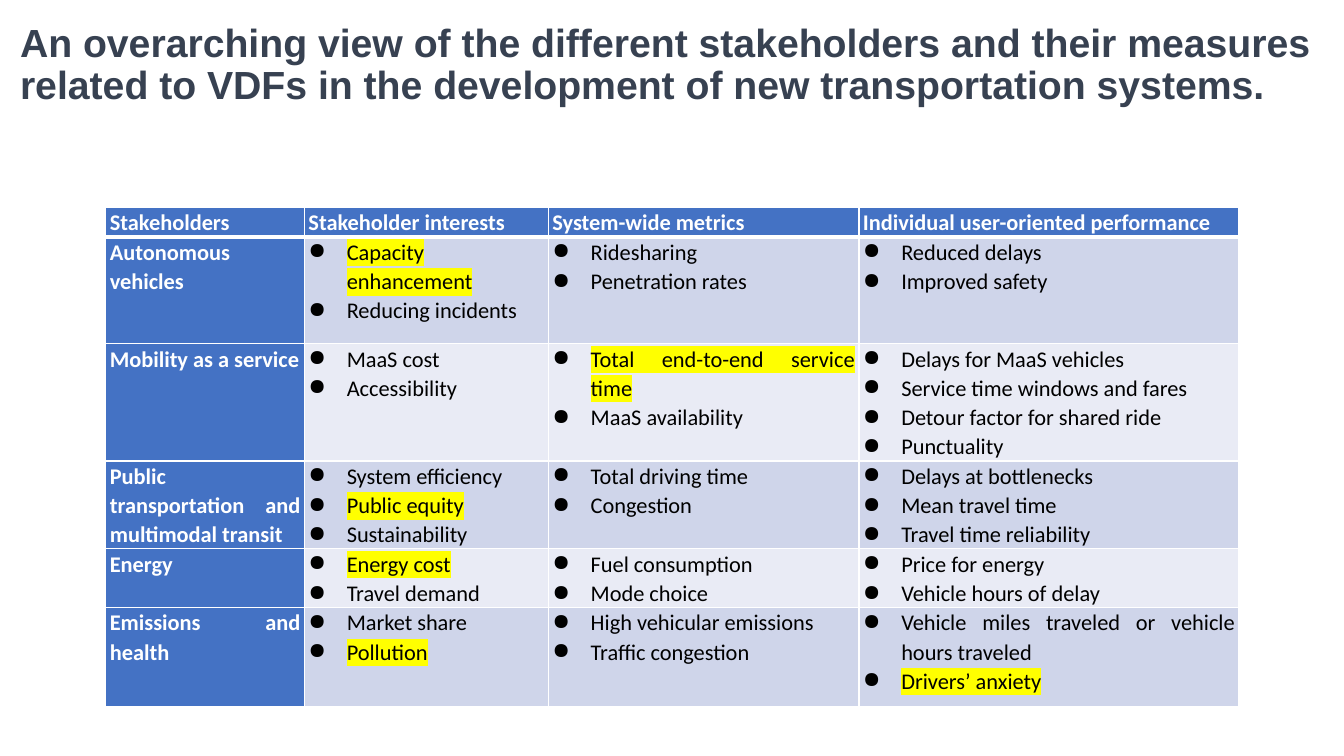
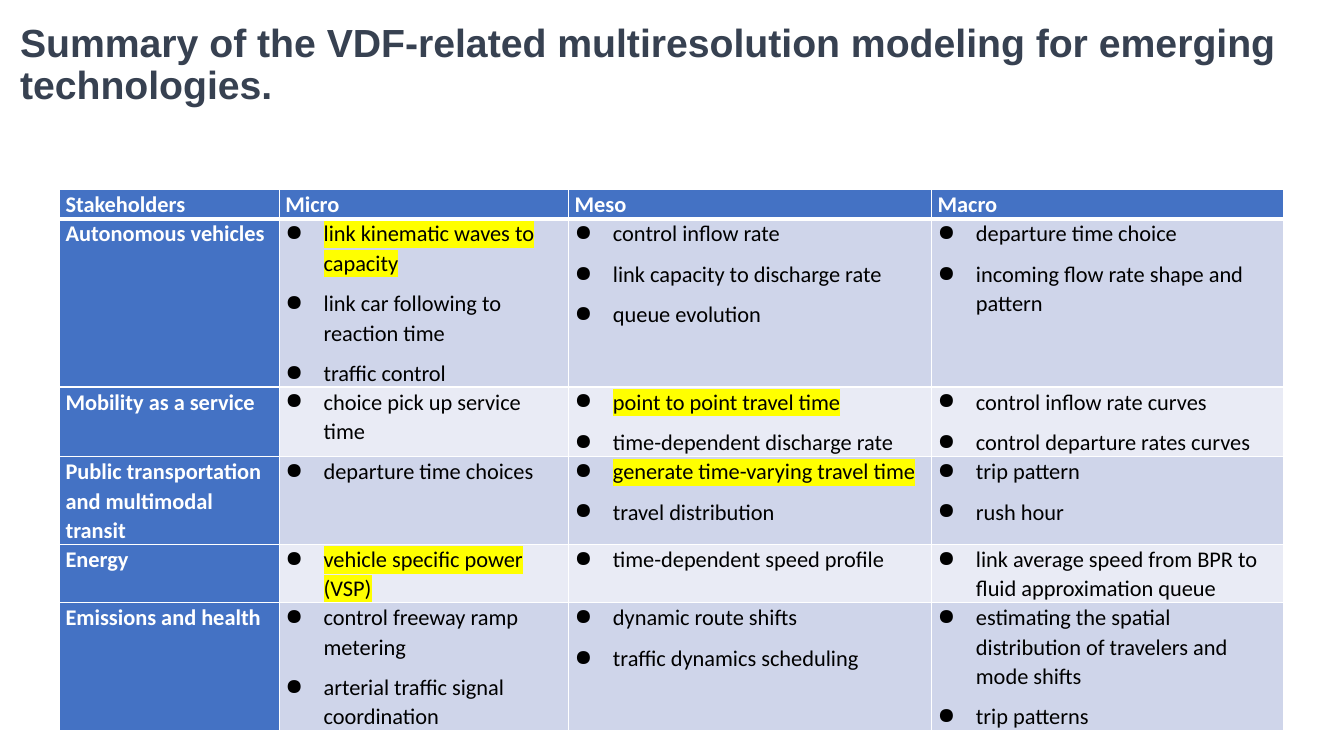
from lxml.etree import SubElement
from pptx import Presentation
from pptx.dml.color import RGBColor
from pptx.enum.text import MSO_ANCHOR, PP_ALIGN
from pptx.oxml.ns import qn
from pptx.util import Inches, Pt

TITLE_COLOR = RGBColor(0x37, 0x41, 0x51)
HEADER_FILL = RGBColor(0x44, 0x72, 0xC4)
BAND_FILLS = (RGBColor(0xCF, 0xD5, 0xEA), RGBColor(0xE9, 0xEB, 0xF5))
HIGHLIGHT = RGBColor(0xFF, 0xFF, 0x00)
WHITE = RGBColor(0xFF, 0xFF, 0xFF)
BLACK = RGBColor(0x00, 0x00, 0x00)
MARK = "*"  # starts the text of a highlighted bullet
INDENT = Inches(0.38)

STAKEHOLDERS = [
    "Autonomous vehicles",
    "Mobility as a service",
    "Public transportation and multimodal transit",
    "Energy",
    "Emissions and health",
]

MEASURES = {
    "title": "An overarching view of the different stakeholders and their measures "
             "related to VDFs in the development of new transportation systems.",
    "left": 1.05, "top": 2.06, "inset": 0.04,
    "align": PP_ALIGN.JUSTIFY, "bullet_gap": 0,
    "widths": [1.97, 2.42, 3.08, 3.77],
    "heights": [0.29, 1.06, 1.16, 0.87, 0.58, 0.98],
    "header": ["Stakeholders", "Stakeholder interests", "System-wide metrics",
               "Individual user-oriented performance"],
    "rows": [
        [["*Capacity enhancement", "Reducing incidents"],
         ["Ridesharing", "Penetration rates"],
         ["Reduced delays", "Improved safety"]],
        [["MaaS cost", "Accessibility"],
         ["*Total end-to-end service time", "MaaS availability"],
         ["Delays for MaaS vehicles", "Service time windows and fares",
          "Detour factor for shared ride", "Punctuality"]],
        [["System efficiency", "*Public equity", "Sustainability"],
         ["Total driving time", "Congestion"],
         ["Delays at bottlenecks", "Mean travel time", "Travel time reliability"]],
        [["*Energy cost", "Travel demand"],
         ["Fuel consumption", "Mode choice"],
         ["Price for energy", "Vehicle hours of delay"]],
        [["Market share", "*Pollution"],
         ["High vehicular emissions", "Traffic congestion"],
         ["Vehicle miles traveled or vehicle hours traveled", "*Drivers’ anxiety"]],
    ],
}

MODELING = {
    "title": "Summary of the VDF-related multiresolution modeling for emerging "
             "technologies.",
    "left": 0.59, "top": 1.88, "inset": 0.06,
    "align": PP_ALIGN.LEFT, "bullet_gap": 8,
    "widths": [2.18, 2.87, 3.6, 3.49],
    "heights": [0.29, 1.67, 0.69, 0.87, 0.58, 1.27],
    "header": ["Stakeholders", "Micro", "Meso", "Macro"],
    "rows": [
        [["*link kinematic waves to capacity", "link car following to reaction time",
          "traffic control"],
         ["control inflow rate", "link capacity to discharge rate", "queue evolution"],
         ["departure time choice", "incoming flow rate shape and pattern"]],
        [["choice pick up service time"],
         ["*point to point travel time", "time-dependent discharge rate"],
         ["control inflow rate curves", "control departure rates curves"]],
        [["departure time choices"],
         ["*generate time-varying travel time", "travel distribution"],
         ["trip pattern", "rush hour"]],
        [["*vehicle specific power (VSP)"],
         ["time-dependent speed profile"],
         ["link average speed from BPR to fluid approximation queue"]],
        [["control freeway ramp metering", "arterial traffic signal coordination"],
         ["dynamic route shifts", "traffic dynamics scheduling"],
         ["estimating the spatial distribution of travelers and mode shifts",
          "trip patterns"]],
    ],
}


def style_run(r, font, size, color, bold):
    r.font.name = font
    r.font.size = Pt(size)
    r.font.color.rgb = color
    r.font.bold = bold


def add_title(s, text):
    tf = s.shapes.add_textbox(Inches(0.1), 0, Inches(13.12), Inches(1.3)).text_frame
    tf.word_wrap = True
    tf.vertical_anchor = MSO_ANCHOR.MIDDLE
    tf.text = text
    p = tf.paragraphs[0]
    p.line_spacing = 0.9
    style_run(p.runs[0], "Arial", 28, TITLE_COLOR, True)


def add_bullet(p):
    pPr = p._p.get_or_add_pPr()
    pPr.set("marL", str(INDENT))
    pPr.set("indent", str(-INDENT))
    SubElement(pPr, qn("a:buChar"), char="●")


def highlight(r):
    rPr = r._r.get_or_add_rPr()
    mark = SubElement(rPr, qn("a:highlight"))
    SubElement(mark, qn("a:srgbClr"), val=str(HIGHLIGHT))
    rPr.find(qn("a:solidFill")).addnext(mark)


def set_borders(cell, bottom):
    """Draw white edges of 1 pt, with the bottom edge as wide as given."""
    tcPr = cell._tc.get_or_add_tcPr()
    for edge, width in (("lnL", 1), ("lnR", 1), ("lnT", 1), ("lnB", bottom)):
        ln = SubElement(tcPr, qn(f"a:{edge}"), w=str(Pt(width)))
        fill = SubElement(ln, qn("a:solidFill"))
        SubElement(fill, qn("a:srgbClr"), val=str(WHITE))


def style_cell(cell, fill, inset, bottom=1):
    cell.margin_left = cell.margin_right = Inches(inset)
    cell.margin_top = cell.margin_bottom = 0
    set_borders(cell, bottom)
    cell.fill.solid()
    cell.fill.fore_color.rgb = fill


def write_heading(cell, text, align):
    cell.text_frame.text = text
    p = cell.text_frame.paragraphs[0]
    p.alignment = align
    p.line_spacing = 1.07
    p.space_after = Pt(8)
    style_run(p.runs[0], "Calibri", 16, WHITE, True)


def write_bullets(cell, items, align, gap):
    tf = cell.text_frame
    tf.text = "\n".join(item.removeprefix(MARK) for item in items)
    for p, item in zip(tf.paragraphs, items):
        p.alignment = align
        p.line_spacing = 1.07
        p.space_after = Pt(gap)
        add_bullet(p)
        r = p.runs[0]
        style_run(r, "Calibri", 16, BLACK, False)
        if item.startswith(MARK):
            highlight(r)


def add_stakeholder_table(s, content):
    widths, heights = content["widths"], content["heights"]
    inset, align = content["inset"], content["align"]
    table = s.shapes.add_table(
        len(heights), len(widths), Inches(content["left"]), Inches(content["top"]),
        Inches(sum(widths)), Inches(sum(heights))).table
    table.first_col = True
    for column, width in zip(table.columns, widths):
        column.width = Inches(width)
    for row, height in zip(table.rows, heights):
        row.height = Inches(height)

    for col, heading in enumerate(content["header"]):
        cell = table.cell(0, col)
        style_cell(cell, HEADER_FILL, inset, bottom=3)
        write_heading(cell, heading, align)
    for row, (name, lists) in enumerate(zip(STAKEHOLDERS, content["rows"]), 1):
        cell = table.cell(row, 0)
        style_cell(cell, HEADER_FILL, inset)
        write_heading(cell, name, align)
        for col, items in enumerate(lists, 1):
            cell = table.cell(row, col)
            style_cell(cell, BAND_FILLS[(row - 1) % 2], inset)
            write_bullets(cell, items, align, content["bullet_gap"])


def main():
    prs = Presentation()
    prs.slide_width, prs.slide_height = Inches(13.33), Inches(7.5)
    for content in (MEASURES, MODELING):
        s = prs.slides.add_slide(prs.slide_layouts[6])
        add_stakeholder_table(s, content)
        add_title(s, content["title"])
    prs.save("out.pptx")


if __name__ == "__main__":
    main()
